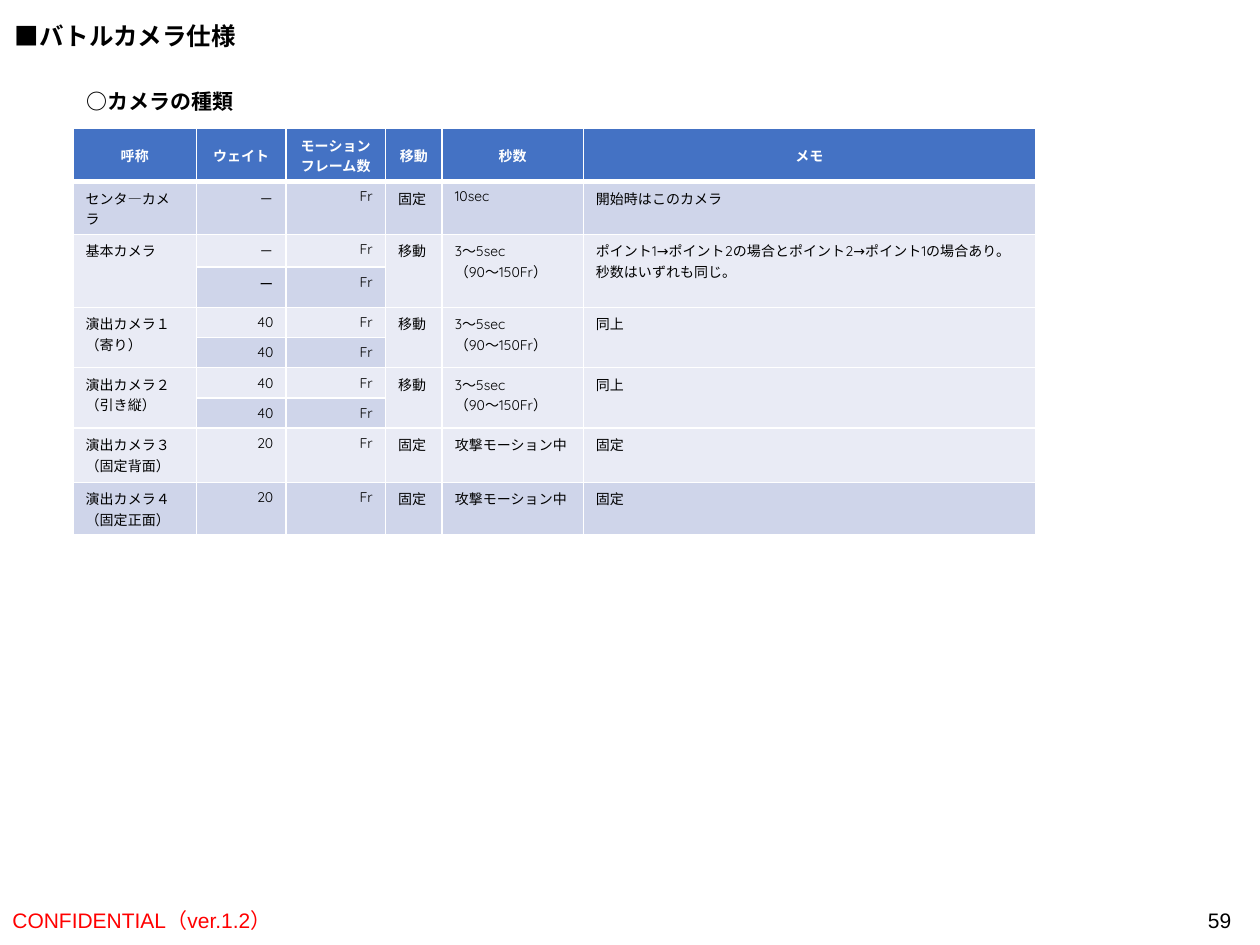
from lxml import etree
from pptx import Presentation
from pptx.dml.color import RGBColor
from pptx.enum.text import MSO_ANCHOR, MSO_AUTO_SIZE, PP_ALIGN
from pptx.oxml.ns import qn
from pptx.util import Inches, Pt

LEFT, CENTER, RIGHT = PP_ALIGN.LEFT, PP_ALIGN.CENTER, PP_ALIGN.RIGHT
TOP, MIDDLE = MSO_ANCHOR.TOP, MSO_ANCHOR.MIDDLE
FIT_SHAPE = MSO_AUTO_SIZE.SHAPE_TO_FIT_TEXT

COLORS = {
    "text": "000000",
    "confidential": "FF0000",
    "header": "4472C4",
    "header_text": "FFFFFF",
    "border": "FFFFFF",
    "dark_band": "CFD5EA",
    "light_band": "E9EBF5",
}
SLIDE_WIDTH, SLIDE_HEIGHT = 10, 7.5
COLUMN_WIDTHS = [0.98, 0.71, 0.79, 0.45, 1.12, 3.59]
ROW_HEIGHTS = [0.42, 0.42, 0.26, 0.32] + [0.24] * 4 + [0.43, 0.42]
ALIGNMENTS = [LEFT, RIGHT, RIGHT, LEFT, LEFT, LEFT]
FRAME_COLUMNS = (1, 2)

HEADERS = ["呼称", "ウェイト", "モーション\nフレーム数", "移動", "秒数", "メモ"]
SECONDS = "3～5sec\n（90～150Fr）"
BASIC_MEMO = "ポイント1→ポイント2の場合とポイント2→ポイント1の場合あり。\n秒数はいずれも同じ。"
CAMERAS = [
    ("センタ―カメラ", ["－"], "固定", "10sec", "開始時はこのカメラ"),
    ("基本カメラ", ["－", "ー"], "移動", SECONDS, BASIC_MEMO),
    ("演出カメラ１\n（寄り）", ["40", "40"], "移動", SECONDS, "同上"),
    ("演出カメラ２\n（引き縦）", ["40", "40"], "移動", SECONDS, "同上"),
    ("演出カメラ３\n（固定背面）", ["20"], "固定", "攻撃モーション中", "固定"),
    ("演出カメラ４\n（固定正面）", ["20"], "固定", "攻撃モーション中", "固定"),
]


def color(name):
    return RGBColor.from_string(COLORS[name])


def write_text(text_frame, text, size, font, color_name, bold=False, alignment=LEFT):
    text_frame.text = text
    for paragraph in text_frame.paragraphs:
        paragraph.alignment = alignment
        paragraph.font.size = Pt(size)
        paragraph.font.name = font
        paragraph.font.bold = bold
        paragraph.font.color.rgb = color(color_name)


def add_heading(slide, box, text, size, font):
    shape = slide.shapes.add_textbox(*map(Inches, box))
    write_text(shape.text_frame, text, size, font, "text", bold=True)
    shape.text_frame.word_wrap = False
    shape.text_frame.auto_size = FIT_SHAPE


def add_footer(slide, left, width, text, color_name, alignment):
    height = 0.4
    top = SLIDE_HEIGHT - height
    shape = slide.shapes.add_textbox(*map(Inches, (left, top, width, height)))
    write_text(shape.text_frame, text, 12, "Arial", color_name, alignment=alignment)
    shape.text_frame.word_wrap = True
    shape.text_frame.vertical_anchor = MIDDLE


def fill_cell(cell, text, fill, alignment, is_header=False):
    cell.fill.solid()
    cell.fill.fore_color.rgb = color(fill)
    cell.vertical_anchor = MIDDLE if is_header else TOP
    text_color = "header_text" if is_header else "text"
    write_text(cell.text_frame, text, 8, "Quicksand", text_color, is_header, alignment)


def set_borders(cell, widths):
    properties = cell._tc.get_or_add_tcPr()
    for index, (side, width) in enumerate(zip(("lnL", "lnR", "lnT", "lnB"), widths)):
        line = etree.Element(qn(f"a:{side}"), w=str(Pt(width)))
        fill = etree.SubElement(line, qn("a:solidFill"))
        etree.SubElement(fill, qn("a:srgbClr"), val=COLORS["border"])
        properties.insert(index, line)


def fill_camera(table, first_row, camera):
    name, weights, movement, seconds, memo = camera
    last_row = first_row + len(weights) - 1
    for offset, weight in enumerate(weights):
        row = first_row + offset
        is_dark = row % 2 == 1
        band = "dark_band" if is_dark else "light_band"
        values = [name, weight, "Fr", movement, seconds, memo]
        for column, value in enumerate(values):
            is_spanned = offset > 0 and column not in FRAME_COLUMNS
            text = "" if is_spanned else value
            fill_cell(table.cell(row, column), text, band, ALIGNMENTS[column])
    if last_row > first_row:
        for column in range(len(COLUMN_WIDTHS)):
            if column not in FRAME_COLUMNS:
                table.cell(first_row, column).merge(table.cell(last_row, column))


def add_camera_table(slide):
    shape = slide.shapes.add_table(
        len(ROW_HEIGHTS), len(COLUMN_WIDTHS),
        Inches(0.58), Inches(1.02),
        Inches(sum(COLUMN_WIDTHS)), Inches(sum(ROW_HEIGHTS)),
    )
    table = shape.table
    for column, width in zip(table.columns, COLUMN_WIDTHS):
        column.width = Inches(width)
    for row, height in zip(table.rows, ROW_HEIGHTS):
        row.height = Inches(height)
    for column, text in enumerate(HEADERS):
        fill_cell(table.cell(0, column), text, "header", CENTER, is_header=True)
    first_row = 1
    for camera in CAMERAS:
        fill_camera(table, first_row, camera)
        first_row += len(camera[1])
    for column in range(len(HEADERS)):
        set_borders(table.cell(0, column), (1, 1, 1, 3))
        set_borders(table.cell(1, column), (1, 1, 3, 1))


def main():
    presentation = Presentation()
    presentation.slide_width = Inches(SLIDE_WIDTH)
    presentation.slide_height = Inches(SLIDE_HEIGHT)
    slide = presentation.slides.add_slide(presentation.slide_layouts[6])
    add_footer(slide, 0, 3.38, "CONFIDENTIAL（ver.1.2）", "confidential", LEFT)
    add_footer(slide, 7.62, 2.25, "59", "text", RIGHT)
    add_camera_table(slide)
    add_heading(slide, (0.59, 0.65, 1.38, 0.3), "○カメラの種類", 12, "Quicksand")
    add_heading(slide, (0.02, 0.12, 1.97, 0.34), "■バトルカメラ仕様", 14, "Arial")
    presentation.save("out.pptx")


if __name__ == "__main__":
    main()
